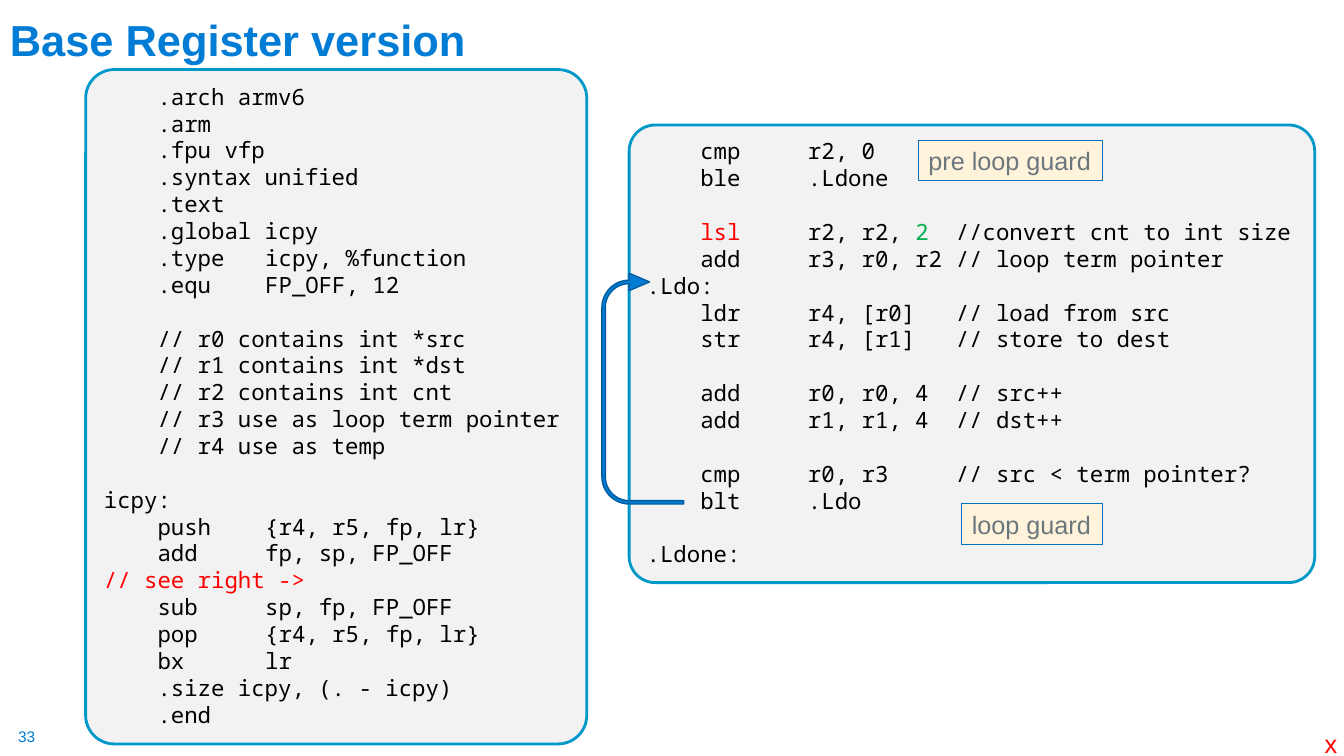
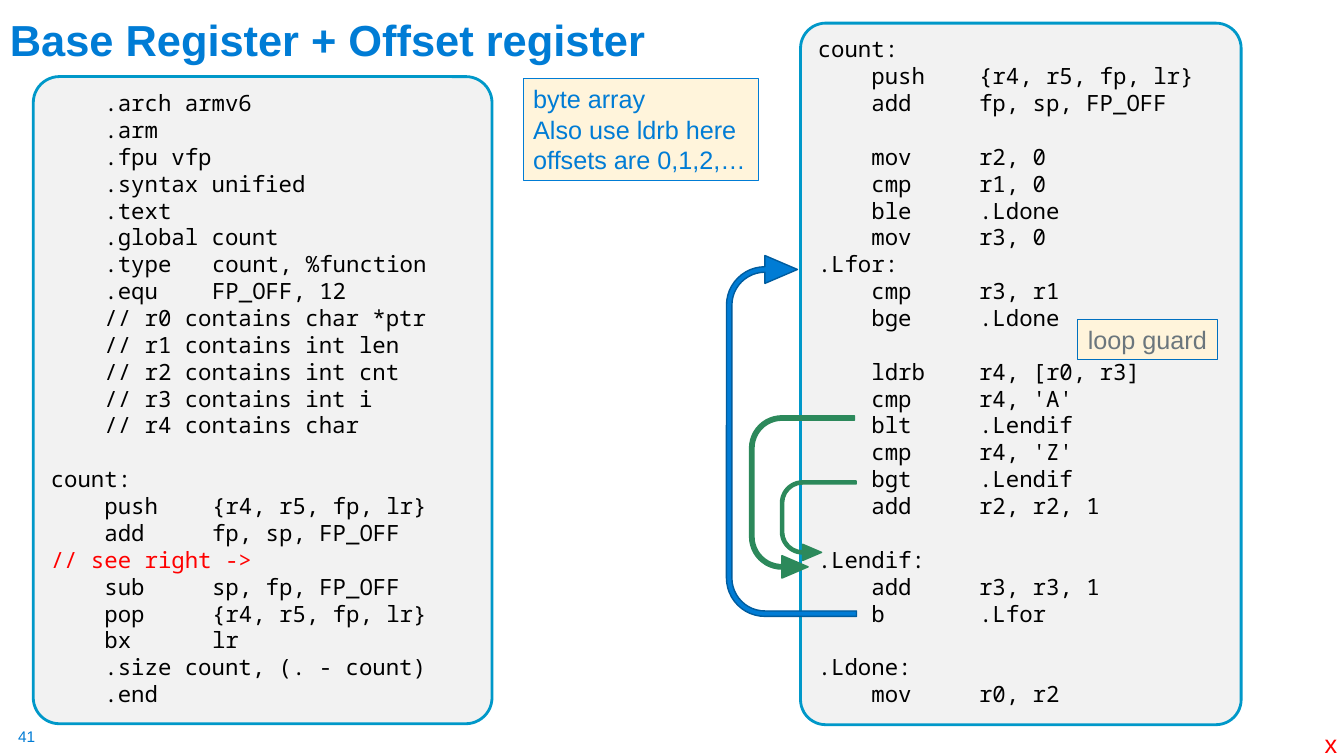
from dataclasses import dataclass

from lxml import etree
from pptx import Presentation
from pptx import util as u
from pptx.dml.color import RGBColor
from pptx.enum import shapes, text
from pptx.oxml import ns


@dataclass(frozen=True)
class Theme:
    blue: str = "007CD5"
    navy: str = "005C9E"
    edge: str = "0098C9"
    rim: str = "0070C0"
    green: str = "2C895B"
    lime: str = "00B050"
    red: str = "FF0000"
    black: str = "000000"
    grey: str = "6B767D"
    panel: str = "F2F2F2"
    cream: str = "FFF4DB"
    sans: str = "Arial"
    mono: str = "Noto Sans Mono"
    head: float = 31
    note: float = 18
    code: float = 16
    page: float = 11
    row: float = 19.2  # height of one code line, points
    char: float = 9.6  # width of one code character, points


T = Theme()
STOPS = (12, 23)  # code columns of operands and comments
REGS = "{r4, r5, fp, lr}"


def rgb(code):
    return RGBColor.from_string(code)


def set_tabs(para):
    tabs = etree.SubElement(para._p.get_or_add_pPr(), ns.qn("a:tabLst"))
    for col in STOPS:
        etree.SubElement(tabs, ns.qn("a:tab"), pos=str(u.Pt(col * T.char)), algn="l")


def write(shape, words, size=T.note, color=T.grey, font=T.sans, bold=False,
          wrap=False, anchor=text.MSO_ANCHOR.TOP, pad=None, lead=None, tabs=False):
    """Fill a shape; an empty line becomes space before, ~tint:word~ a tinted run."""
    frame = shape.text_frame
    frame.word_wrap = wrap
    frame.vertical_anchor = anchor
    if pad is not None:
        frame.margin_left = frame.margin_right = u.Inches(pad)
        frame.margin_top = frame.margin_bottom = u.Inches(pad)
    para, gap = None, 0
    for line in words.split("\n"):
        if not line:
            gap += T.row
            continue
        para = frame.add_paragraph() if para else frame.paragraphs[0]
        if tabs:
            set_tabs(para)
        para.alignment = text.PP_ALIGN.LEFT
        if lead:
            para.line_spacing = lead
        if gap:
            para.space_before = u.Pt(gap)
        gap = 0
        for i, part in enumerate(line.split("~")):
            tint = color
            if i % 2:
                name, part = part.split(":", 1)
                tint = getattr(T, name)
            if part:
                run = para.add_run()
                run.text = part
                run.font.size = u.Pt(size)
                run.font.name = font
                run.font.bold = bold
                run.font.color.rgb = rgb(tint)


class Deck:
    def __init__(self):
        self.prs = Presentation()
        self.prs.slide_width = u.Inches(13.33)
        self.prs.slide_height = u.Inches(7.5)
        self.slide = None

    def start(self, title, page):
        """Add a slide with its title, page number and corner mark."""
        self.slide = self.prs.slides.add_slide(self.prs.slide_layouts[6])
        self.label((0.18, 7.21, 0.19, 0.19), page, size=T.page, color=T.blue, pad=0)
        self.label((0, -0.08, 7.43, 0.78), title, size=T.head, color=T.blue,
                   bold=True, wrap=True, anchor=text.MSO_ANCHOR.BOTTOM, lead=0.9)
        self.label((13.04, 7.18, 0.33, 0.4), "x", color=T.red)

    def label(self, box, words, **style):
        write(self.slide.shapes.add_textbox(*map(u.Inches, box)), words, **style)

    def shape(self, kind, box, fill, line, width, adj=()):
        item = self.slide.shapes.add_shape(kind, *map(u.Inches, box))
        item.shadow.inherit = False
        item.fill.solid()
        item.fill.fore_color.rgb = rgb(fill)
        item.line.color.rgb = rgb(line)
        item.line.width = u.Pt(width)
        for i, value in enumerate(adj):
            item.adjustments[i] = value
        return item

    def code(self, box, words):
        item = self.shape(shapes.MSO_SHAPE.ROUNDED_RECTANGLE, box,
                          T.panel, T.edge, 2, [0.057])
        write(item, words, size=T.code, color=T.black, font=T.mono,
              wrap=True, tabs=True)

    def tag(self, box, words, line=T.rim, color=T.grey):
        item = self.shape(shapes.MSO_SHAPE.RECTANGLE, box, T.cream, line, 0.75)
        write(item, words, color=color)

    def jump(self, box, reach, fill=T.blue, line=T.navy, down=False):
        """Draw a loop arrow; box is the frame before its quarter turn."""
        item = self.shape(shapes.MSO_SHAPE.U_TURN_ARROW, box, fill, line, 1,
                          [0.042, 0.107, 0.25, 0.438, reach])
        item.rotation = 270
        if down:
            item._element.spPr.find(ns.qn("a:xfrm")).set("flipH", "1")


def routine(name, notes):
    """Assembler source around a function body that is shown elsewhere."""
    return f"""    .arch armv6
    .arm
    .fpu vfp
    .syntax unified
    .text
    .global {name}
    .type\t{name}, %function
    .equ\tFP_OFF, 12
{notes}

{name}:
    push\t{REGS}
    add\tfp, sp, FP_OFF
~red:// see right ->~
    sub\tsp, fp, FP_OFF
    pop\t{REGS}
    bx\tlr
    .size {name}, (. - {name})
    .end"""


COPY_NOTES = """
    // r0 contains int *src
    // r1 contains int *dst
    // r2 contains int cnt
    // r3 use as loop term pointer
    // r4 use as temp"""

COPY_BODY = """    cmp\tr2, 0
    ble\t.Ldone

    ~red:lsl~\tr2, r2, ~lime:2~\t//convert cnt to int size
    add\tr3, r0, r2\t// loop term pointer
.Ldo:
    ldr\tr4, [r0]\t// load from src
    str\tr4, [r1]\t// store to dest

    add\tr0, r0, 4\t// src++
    add\tr1, r1, 4\t// dst++

    cmp\tr0, r3\t// src < term pointer?
    blt\t.Ldo

.Ldone:"""

COUNT_NOTES = """    // r0 contains char *ptr
    // r1 contains int len
    // r2 contains int cnt
    // r3 contains int i
    // r4 contains char"""

COUNT_BODY = f"""count:
    push\t{REGS}
    add\tfp, sp, FP_OFF

    mov\tr2, 0
    cmp\tr1, 0
    ble\t.Ldone
    mov\tr3, 0
.Lfor:
    cmp\tr3, r1
    bge\t.Ldone

    ldrb\tr4, [r0, r3]
    cmp\tr4, 'A'
    blt\t.Lendif
    cmp\tr4, 'Z'
    bgt\t.Lendif
    add\tr2, r2, 1

.Lendif:
    add\tr3, r3, 1
    b\t.Lfor

.Ldone:
    mov\tr0, r2"""


def copy_slide(deck):
    deck.start("Base Register version", "33")
    deck.code((6.24, 1.24, 6.8, 4.54), COPY_BODY)
    deck.code((0.85, 0.69, 4.97, 6.69), routine("icpy", COPY_NOTES))
    deck.jump((5.23, 3.45, 2.29, 0.81), 0.583)
    deck.tag((9.54, 5, 1.39, 0.4), "loop guard")
    deck.tag((9.11, 1.39, 1.83, 0.4), "pre loop guard")


def count_slide(deck):
    deck.start("Base Register + Offset register", "41")
    deck.code((7.94, 0.23, 4.37, 6.96), COUNT_BODY)
    deck.code((0.33, 0.76, 4.55, 6.42), routine("count", COUNT_NOTES))
    deck.jump((6.06, 3.68, 3.58, 1.29), 0.546)
    for box, reach in (((7.15, 4.41, 1.61, 1.04), 0.558),
                       ((7.72, 4.79, 0.79, 0.75), 0.544)):
        deck.jump(box, reach, T.green, T.green, down=True)
    deck.tag((10.69, 3.17, 1.39, 0.4), "loop guard")
    deck.tag((5.19, 0.78, 2.33, 1.01),
             "byte array\nAlso use ldrb here\noffsets are 0,1,2,…",
             line=T.blue, color=T.blue)


def main():
    deck = Deck()
    copy_slide(deck)
    count_slide(deck)
    deck.prs.save("out.pptx")


if __name__ == "__main__":
    main()
